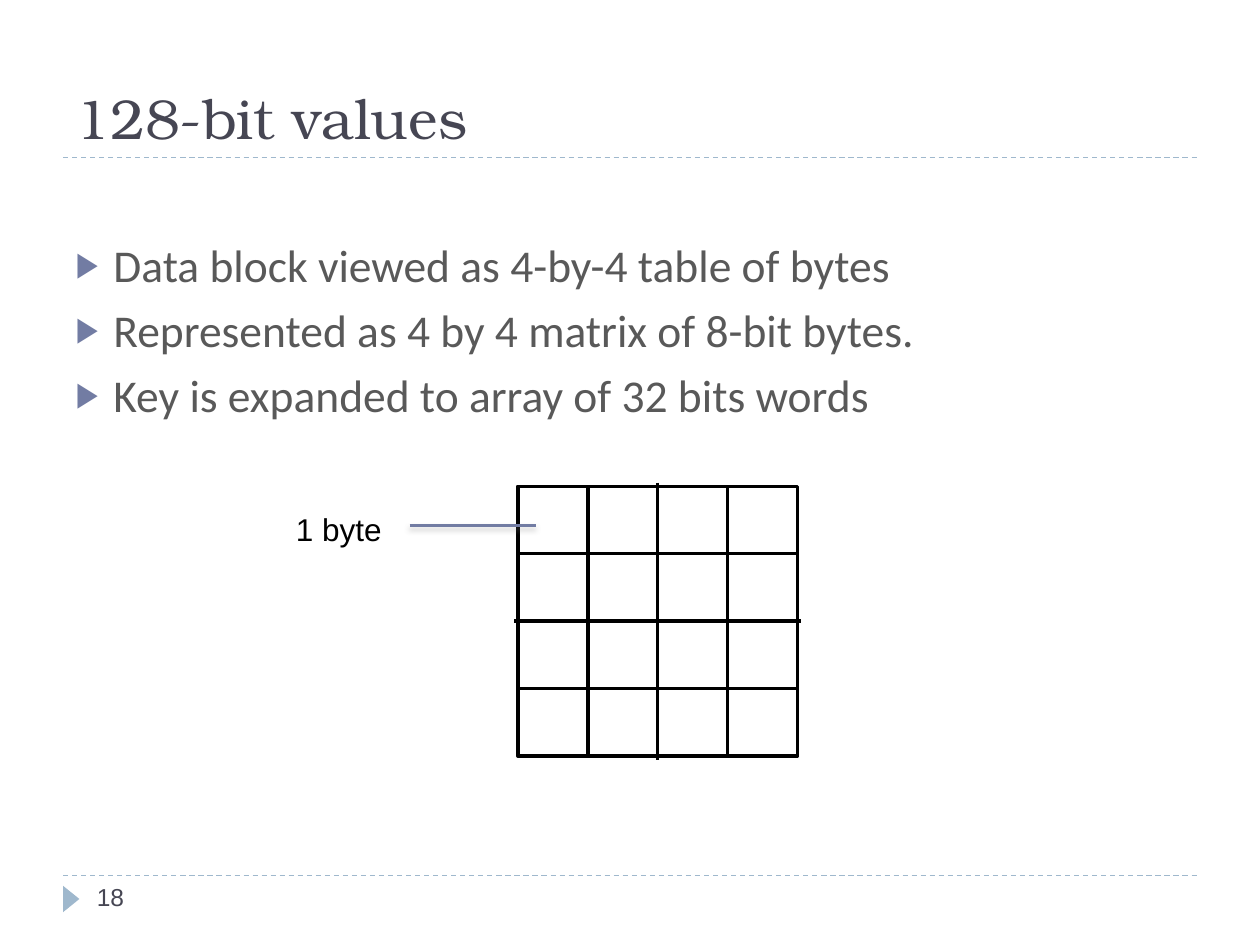
"""Build the slide on 128-bit values with a 4-by-4 byte grid."""
from lxml import etree
from pptx import Presentation
from pptx.dml.color import RGBColor
from pptx.enum.dml import MSO_LINE
from pptx.enum.shapes import MSO_CONNECTOR, MSO_SHAPE
from pptx.enum.text import MSO_ANCHOR, MSO_AUTO_SIZE, PP_ALIGN
from pptx.oxml import parse_xml
from pptx.oxml.ns import nsdecls, qn
from pptx.util import Inches, Pt

STRAIGHT, DASH = MSO_CONNECTOR.STRAIGHT, MSO_LINE.DASH
RECT, TRIANGLE = MSO_SHAPE.RECTANGLE, MSO_SHAPE.ISOSCELES_TRIANGLE
TOP, BOTTOM, LEFT = MSO_ANCHOR.TOP, MSO_ANCHOR.BOTTOM, PP_ALIGN.LEFT
NO_FIT = MSO_AUTO_SIZE.NONE

TITLE = "128-bit values"
BULLETS = [
    "Data block viewed as 4-by-4 table of bytes",
    "Represented as 4 by 4 matrix of 8-bit bytes.",
    "Key is expanded to array of 32 bits words",
]
LABELS = [
    ("18", (0.67, 6.95, 2.17, 0.4), 14, "464653", True),
    ("1 byte", (2.25, 4, 0.89, 0.4), 18, "000000", False),
]
MARGIN, WIDTH = 0.5, 9
RULES = [1.25, 6.95]
GRID_X, GRID_Y, COL, ROW, OVERHANG = 4.11, 3.86, 0.555, 0.535, 0.03
GRID_RECTS = [(0, 0, 4, 4, "FFFFFF"), (1, 0, 2, 4, "FFFFFF"), (0, 1, 4, 2, None)]


def rgb(value):
    return RGBColor.from_string(value)


def set_text(tf, lines, size, font, color, anchor):
    tf.auto_size, tf.vertical_anchor = NO_FIT, anchor
    tf.text = "\n".join(lines)
    for p in tf.paragraphs:
        p.alignment = LEFT
        p.font.size, p.font.name = Pt(size), font
        p.font.color.rgb = rgb(color)


def place(sp, box):
    sp.left, sp.top, sp.width, sp.height = map(Inches, box)


def add_bullet(p):
    p.space_before = Pt(6)
    pPr = p._p.get_or_add_pPr()
    pPr.set("marL", str(Inches(0.3)))
    pPr.set("indent", str(-Inches(0.3)))
    marks = parse_xml(
        f'<a:pPr {nsdecls("a")}><a:buClr><a:srgbClr val="727CA3"/></a:buClr>'
        '<a:buSzPct val="76000"/><a:buFont typeface="Arial"/><a:buChar char="▶"/></a:pPr>')
    at = pPr.index(pPr.find(qn("a:spcBef"))) + 1
    pPr[at:at] = list(marks)


def add_line(shapes, ends, color, width, dash=None):
    s = shapes.add_connector(STRAIGHT, *map(Inches, ends))
    s.line.color.rgb, s.line.width = rgb(color), Pt(width)
    if dash:
        s.line.dash_style = dash
    return etree.SubElement(s._element.spPr, qn("a:effectLst"))


def add_shape(shapes, kind, box, fill=None, line=None):
    sp = shapes.add_shape(kind, *map(Inches, box))
    sp.shadow.inherit = False
    if fill:
        sp.fill.solid()
        sp.fill.fore_color.rgb = rgb(fill)
    else:
        sp.fill.background()
    if line:
        sp.line.color.rgb, sp.line.width = rgb(line), Pt(2)
    else:
        sp.line.fill.background()
    return sp


def add_grid(shapes):
    group = shapes.add_group_shape().shapes
    for col, row, cols, rows, fill in GRID_RECTS:
        box = (GRID_X + col * COL, GRID_Y + row * ROW, cols * COL, rows * ROW)
        add_shape(group, RECT, box, fill, "000000")
    x, y = GRID_X + 2 * COL, GRID_Y + 2 * ROW
    half_w, half_h = 2 * COL + OVERHANG, 2 * ROW + OVERHANG
    for ends in [(x, y - half_h, x, y + half_h), (x - half_w, y, x + half_w, y)]:
        add_line(group, ends, "000000", 2)


def main():
    prs = Presentation()
    prs.slide_width, prs.slide_height = Inches(10), Inches(7.5)
    s = prs.slides.add_slide(prs.slide_layouts[1])
    title, body = s.placeholders

    for y in RULES:
        add_line(s.shapes, (MARGIN, y, MARGIN + WIDTH, y), "9FB8CD", 0.75, DASH)
    add_shape(s.shapes, TRIANGLE, (0.46, 7.07, 0.21, 0.13), "9FB8CD").rotation = 90

    place(title, (MARGIN, 0.17, WIDTH, 1.08))
    set_text(title.text_frame, [TITLE], 32, "TeX Gyre Bonum", "464653", BOTTOM)
    place(body, (MARGIN, 1.83, WIDTH, 2.67))
    set_text(body.text_frame, BULLETS, 26, "Calibri", "595959", TOP)
    for p in body.text_frame.paragraphs:
        add_bullet(p)

    add_grid(s.shapes)
    for text, box, size, color, wrap in LABELS:
        tf = s.shapes.add_textbox(*map(Inches, box)).text_frame
        tf.word_wrap = wrap
        set_text(tf, [text], size, "Arial", color, TOP)

    effects = add_line(s.shapes, (3.25, 4.17, 4.25, 4.17), "727CA3", 1.5)
    effects.append(parse_xml(
        f'<a:outerShdw {nsdecls("a")} blurRad="{Pt(3)}" dist="{Pt(2)}" dir="5400000" '
        'rotWithShape="0"><a:srgbClr val="808080"><a:alpha val="40000"/></a:srgbClr>'
        '</a:outerShdw>'))
    prs.save("out.pptx")


if __name__ == "__main__":
    main()
